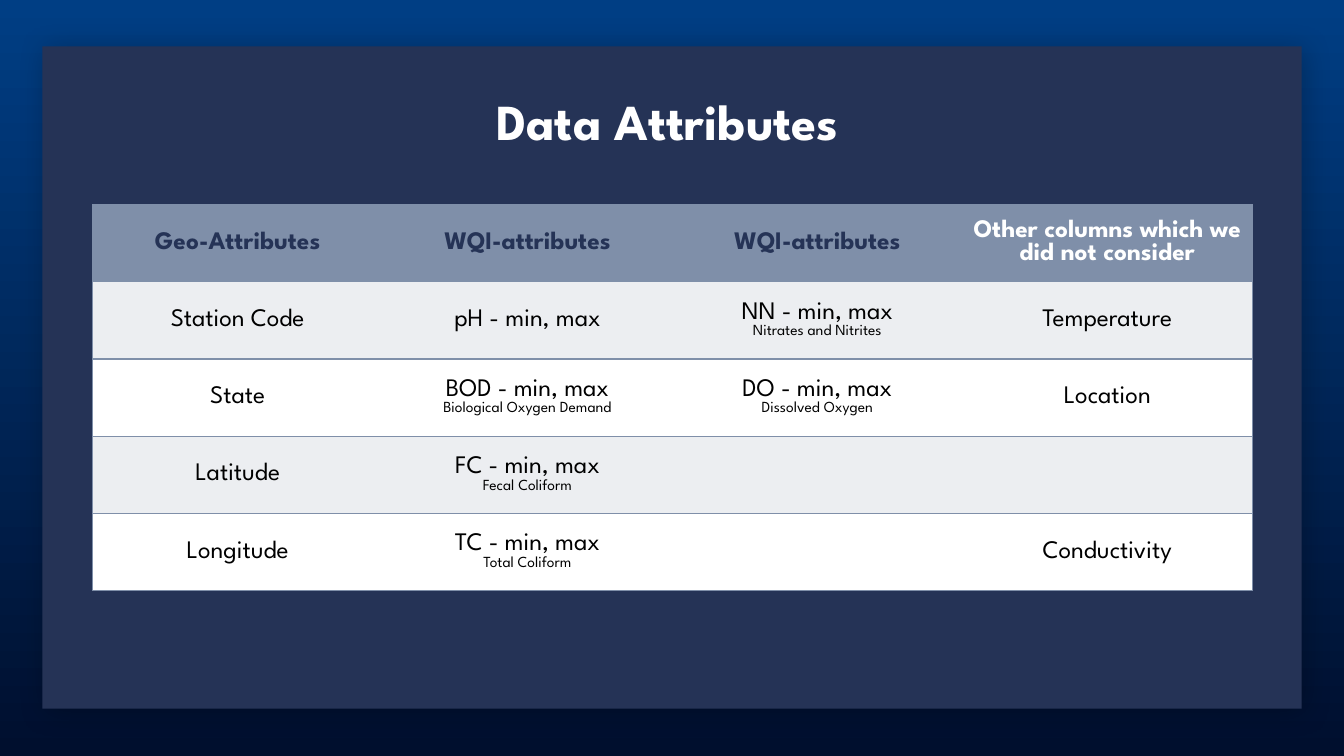
import lxml.etree
import pptx
import pptx.dml.color
import pptx.enum.shapes
import pptx.enum.text
import pptx.oxml
import pptx.oxml.ns
import pptx.util

Inches = pptx.util.Inches
Pt = pptx.util.Pt
qn = pptx.oxml.ns.qn

FONT = "League Spartan"
COLORS = {
    "sky": "003E84",
    "deep": "000F2E",
    "navy": "253356",
    "steel": "7F8FA9",
    "mist": "ECEEF1",
    "white": "FFFFFF",
    "black": "000000",
}
NO_TABLE_STYLE = "{2D5ABB26-0587-4C30-8999-92F81FD0307C}"

HEADINGS = [
    "Geo-Attributes",
    "WQI-attributes",
    "WQI-attributes",
    "Other columns which we did not consider",
]
ATTRIBUTES = [
    [["Station Code"], ["pH - min, max"], ["NN - min, max", "Nitrates and Nitrites"], ["Temperature"]],
    [["State"], ["BOD - min, max", "Biological Oxygen Demand"], ["DO - min, max", "Dissolved Oxygen"], ["Location"]],
    [["Latitude"], ["FC - min, max", "Fecal Coliform"], [], []],
    [["Longitude"], ["TC - min, max", "Total Coliform"], [], ["Conductivity"]],
]


def color(name):
    """Return the named colour as an RGBColor."""
    return pptx.dml.color.RGBColor.from_string(COLORS[name])


def add_run(paragraph, text, size, color_name, bold=False):
    """Add a centred run of text to a paragraph."""
    paragraph.alignment = pptx.enum.text.PP_ALIGN.CENTER
    run = paragraph.add_run()
    run.text = text
    run.font.name = FONT
    run.font.size = Pt(size)
    run.font.bold = bold
    run.font.color.rgb = color(color_name)


def paint_background(slide):
    """Fill the slide background from light blue at the top to dark blue."""
    fill = slide.background.fill
    fill.gradient()
    fill.gradient_angle = 270
    for stop, position, name in zip(fill.gradient_stops, (0, 1), ("sky", "deep")):
        stop.position = position
        stop.color.rgb = color(name)


def add_panel(slide, left, top, width, height):
    """Draw the shadowed navy panel behind everything else."""
    panel = slide.shapes.add_shape(
        pptx.enum.shapes.MSO_SHAPE.RECTANGLE, left, top, width, height
    )
    panel.fill.solid()
    panel.fill.fore_color.rgb = color("navy")
    panel.line.fill.background()
    panel.shadow.inherit = False
    effects = panel._element.spPr.find(qn("a:effectLst"))
    shadow = lxml.etree.SubElement(
        effects, qn("a:outerShdw"), blurRad=str(Pt(20)), dist=str(Pt(4)), dir="2700000"
    )
    tint = lxml.etree.SubElement(shadow, qn("a:srgbClr"), val=COLORS["black"])
    lxml.etree.SubElement(tint, qn("a:alpha"), val="25000")
    slide.shapes._spTree.insert(2, panel._element)


def add_title(slide, left, top, width, height):
    """Place and fill the title placeholder."""
    title = slide.shapes.title
    title.left, title.top, title.width, title.height = left, top, width, height
    title.text_frame.vertical_anchor = pptx.enum.text.MSO_ANCHOR.MIDDLE
    add_run(title.text_frame.paragraphs[0], "Data Attributes", 36, "white", True)


def set_borders(cell, sides):
    """Draw steel borders on the given sides, in the order L, R, T, B."""
    properties = cell._tc.get_or_add_tcPr()
    for index, side in enumerate(sides):
        border = lxml.etree.Element(qn("a:ln" + side), w=str(Pt(1)))
        fill = lxml.etree.SubElement(border, qn("a:solidFill"))
        lxml.etree.SubElement(fill, qn("a:srgbClr"), val=COLORS["steel"])
        properties.insert(index, border)


def fill_cell(cell, lines, fill_name, text_name, bold):
    """Write a main line and an optional small note into a cell."""
    cell.fill.solid()
    cell.fill.fore_color.rgb = color(fill_name)
    cell.vertical_anchor = pptx.enum.text.MSO_ANCHOR.MIDDLE
    frame = cell.text_frame
    for index, line in enumerate(lines):
        paragraph = frame.add_paragraph() if index else frame.paragraphs[0]
        add_run(paragraph, line, 11 if index else 18, text_name, bold)


def add_attribute_table(slide, left, top, width, height):
    """Build the table of attributes with equal rows and columns."""
    rows = [[[heading] for heading in HEADINGS]] + ATTRIBUTES
    last_column = len(HEADINGS) - 1
    table = slide.shapes.add_table(
        len(rows), len(HEADINGS), left, top, width, height
    ).table
    table.horz_banding = False
    table._tbl.tblPr.find(qn("a:tableStyleId")).text = NO_TABLE_STYLE
    for row_index, row in enumerate(rows):
        header = row_index == 0
        band = "mist" if row_index % 2 else "white"
        for column_index, lines in enumerate(row):
            cell = table.cell(row_index, column_index)
            heading_color = "white" if column_index == last_column else "navy"
            fill_cell(
                cell,
                lines,
                "steel" if header else band,
                heading_color if header else "black",
                header,
            )
            outer = {0: "L", last_column: "R"}.get(column_index, "")
            set_borders(cell, outer + "TB")


def build_attributes_slide(presentation):
    """Add the data attributes slide."""
    slide = presentation.slides.add_slide(presentation.slide_layouts[5])
    paint_background(slide)
    add_panel(slide, Inches(0.42), Inches(0.46), Inches(12.49), Inches(6.57))
    add_title(slide, Inches(0.53), Inches(0.63), Inches(12.18), Inches(1.12))
    add_attribute_table(slide, Inches(0.92), Inches(2.03), Inches(11.5), Inches(3.83))


def main():
    """Create and save the presentation."""
    presentation = pptx.Presentation()
    presentation.slide_width = Inches(13.33)
    presentation.slide_height = Inches(7.5)
    build_attributes_slide(presentation)
    presentation.save("out.pptx")


if __name__ == "__main__":
    main()
